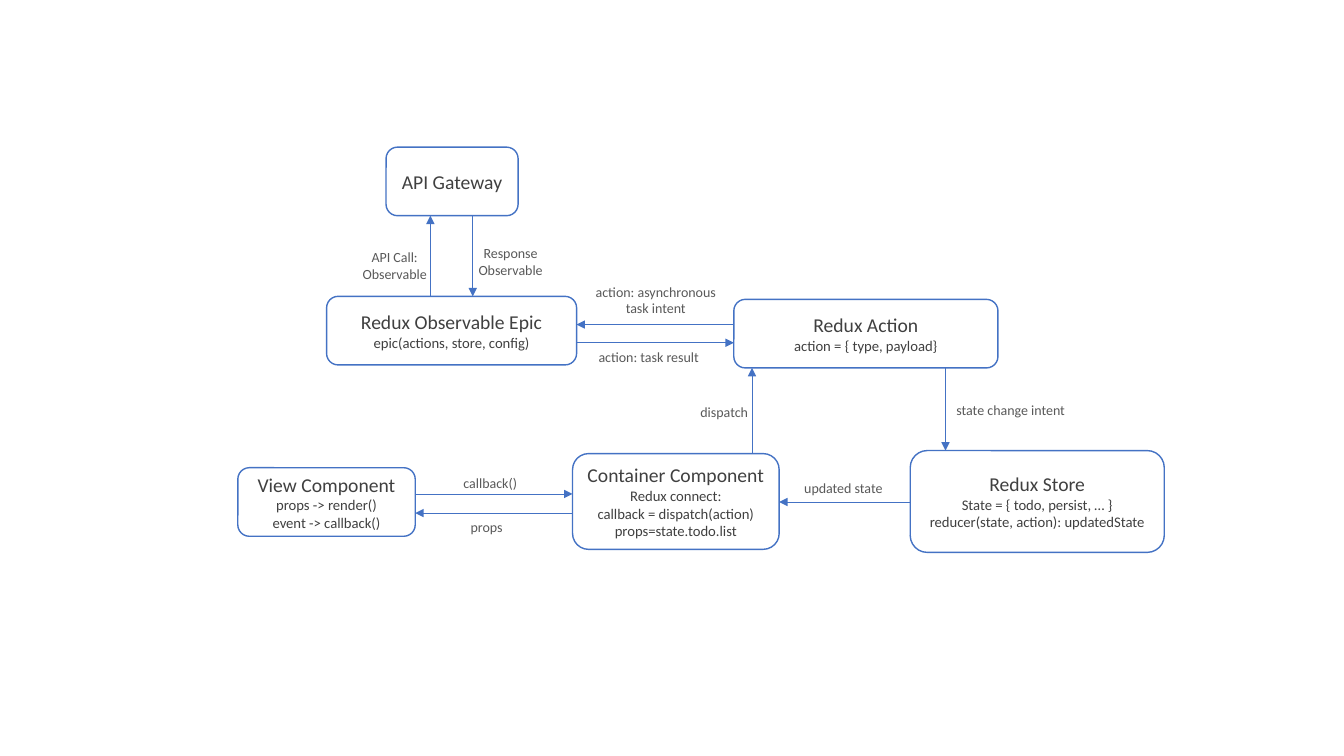
import pptx
import pptx.dml.color
import pptx.enum.shapes
import pptx.enum.text
import pptx.oxml.ns
import pptx.util
from dataclasses import dataclass
from lxml import etree


@dataclass(frozen=True)
class Theme:
    font: str = "Calibri"
    background: str = "FFFFFF"
    accent: str = "4472C4"
    box_text: str = "404040"
    label_text: str = "595959"
    title_size: float = 14
    detail_size: float = 10.5
    label_size: float = 10
    box_line: float = 1
    arrow_line: float = 0.5


THEME = Theme()
COLUMNS, ROWS = 133.33, 75
CELL = 0.1

BOXES = {
    "container": (56.8, 45, 20.5, 9.5, ["Container Component", "Redux connect:",
                                        "callback = dispatch(action)", "props=state.todo.list"]),
    "action": (72.8, 29.7, 26.2, 6.8, ["Redux Action", "action = { type, payload}"]),
    "epic": (32.4, 29.4, 24.8, 6.8, ["Redux Observable Epic", "epic(actions, store, config)"]),
    "store": (90.3, 44.7, 25.2, 10.1, ["Redux Store", "State = { todo, persist, … }",
                                       "reducer(state, action): updatedState"]),
    "view": (23.6, 46.4, 17.6, 6.8, ["View Component", "props -> render()", "event -> callback()"]),
    "gateway": (38.3, 14.6, 13.1, 6.8, ["API Gateway"]),
}

ACROSS = [
    ("view", "container", 49),
    ("container", "view", 50.9),
    ("action", "epic", 32.2),
    ("epic", "action", 34),
    ("store", "container", 49.8),
]

UPRIGHT = [
    ("container", "action", 74.6),
    ("action", "store", 93.8),
    ("gateway", "epic", 46.9),
    ("epic", "gateway", 42.7),
]

SINGLE_LINE_LABELS = [
    ("callback()", 45, 46.6, 7.4, 2.7),
    ("props", 45.7, 50.9, 5.3, 2.7),
    ("dispatch", 68.5, 39.5, 6.8, 2.7),
    ("state change intent", 93.9, 39.3, 13, 2.7),
    ("updated state", 78.8, 47.1, 10, 2.7),
]

WRAPPED_LABELS = [
    ("action: asynchronous task intent", 57.3, 27.6, 15.5, 4.4),
    ("action: task result", 58.1, 34.1, 12.5, 2.7),
    ("API Call: Observable", 32.9, 24.2, 12.5, 4.4),
    ("Response Observable", 44.4, 23.8, 12.5, 4.4),
]


def grid(*cells):
    return [pptx.util.Inches(cell * CELL) for cell in cells]


def color(value):
    return pptx.dml.color.RGBColor.from_string(value)


def style_paragraph(para, size, text_color, alignment):
    para.alignment = alignment
    para.font.name = THEME.font
    para.font.size = pptx.util.Pt(size)
    para.font.color.rgb = color(text_color)


def style_line(line, width):
    line.color.rgb = color(THEME.accent)
    line.width = pptx.util.Pt(width)


def add_box(page, left, top, width, height, lines):
    box = page.shapes.add_shape(
        pptx.enum.shapes.MSO_SHAPE.ROUNDED_RECTANGLE, *grid(left, top, width, height))
    box.shadow.inherit = False
    box.fill.solid()
    box.fill.fore_color.rgb = color(THEME.background)
    style_line(box.line, THEME.box_line)
    frame = box.text_frame
    frame.word_wrap = True
    frame.vertical_anchor = pptx.enum.text.MSO_ANCHOR.MIDDLE
    frame.text = "\n".join(lines)
    for index, para in enumerate(frame.paragraphs):
        size = THEME.detail_size if index else THEME.title_size
        style_paragraph(para, size, THEME.box_text, pptx.enum.text.PP_ALIGN.CENTER)


def add_label(page, text, left, top, width, height, wrapped):
    label = page.shapes.add_textbox(*grid(left, top, width, height))
    frame = label.text_frame
    frame.word_wrap = wrapped
    frame.auto_size = pptx.enum.text.MSO_AUTO_SIZE.SHAPE_TO_FIT_TEXT
    frame.text = text
    align = pptx.enum.text.PP_ALIGN
    style_paragraph(frame.paragraphs[0], THEME.label_size, THEME.label_text,
                    align.CENTER if wrapped else align.LEFT)


def add_arrow(page, *ends):
    arrow = page.shapes.add_connector(
        pptx.enum.shapes.MSO_CONNECTOR.STRAIGHT, *grid(*ends))
    style_line(arrow.line, THEME.arrow_line)
    qualified = pptx.oxml.ns.qn
    etree.SubElement(arrow.line._get_or_add_ln(), qualified("a:tailEnd"), type="triangle")
    etree.SubElement(arrow._element.spPr, qualified("a:effectLst"))


def facing_edges(source, target, axis):
    start, end = BOXES[source], BOXES[target]
    if start[axis] < end[axis]:
        return start[axis] + start[axis + 2], end[axis]
    return start[axis], end[axis] + end[axis + 2]


def main():
    deck = pptx.Presentation()
    deck.slide_width, deck.slide_height = grid(COLUMNS, ROWS)
    page = deck.slides.add_slide(deck.slide_layouts[6])
    for box in BOXES.values():
        add_box(page, *box)
    for source, target, row in ACROSS:
        start, end = facing_edges(source, target, 0)
        add_arrow(page, start, row, end, row)
    for source, target, column in UPRIGHT:
        start, end = facing_edges(source, target, 1)
        add_arrow(page, column, start, column, end)
    for label in SINGLE_LINE_LABELS:
        add_label(page, *label, wrapped=False)
    for label in WRAPPED_LABELS:
        add_label(page, *label, wrapped=True)
    deck.save("out.pptx")


if __name__ == "__main__":
    main()
